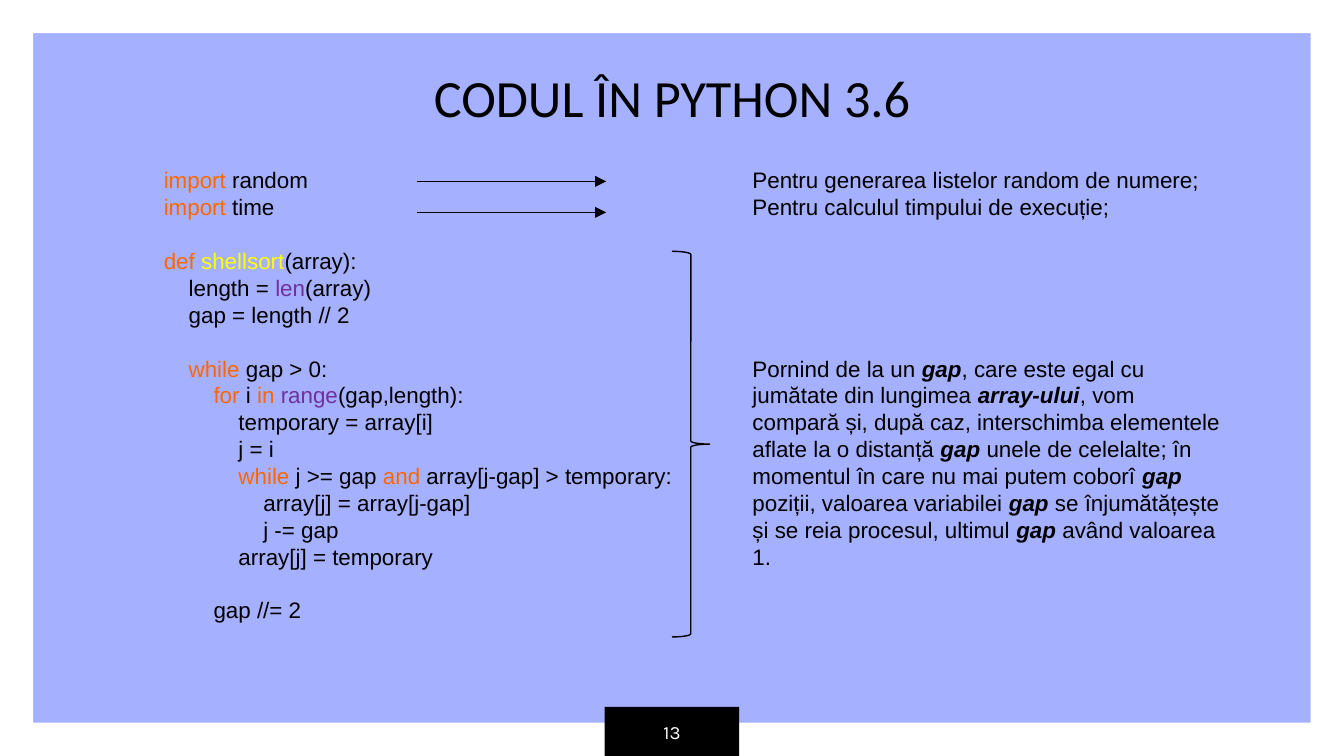
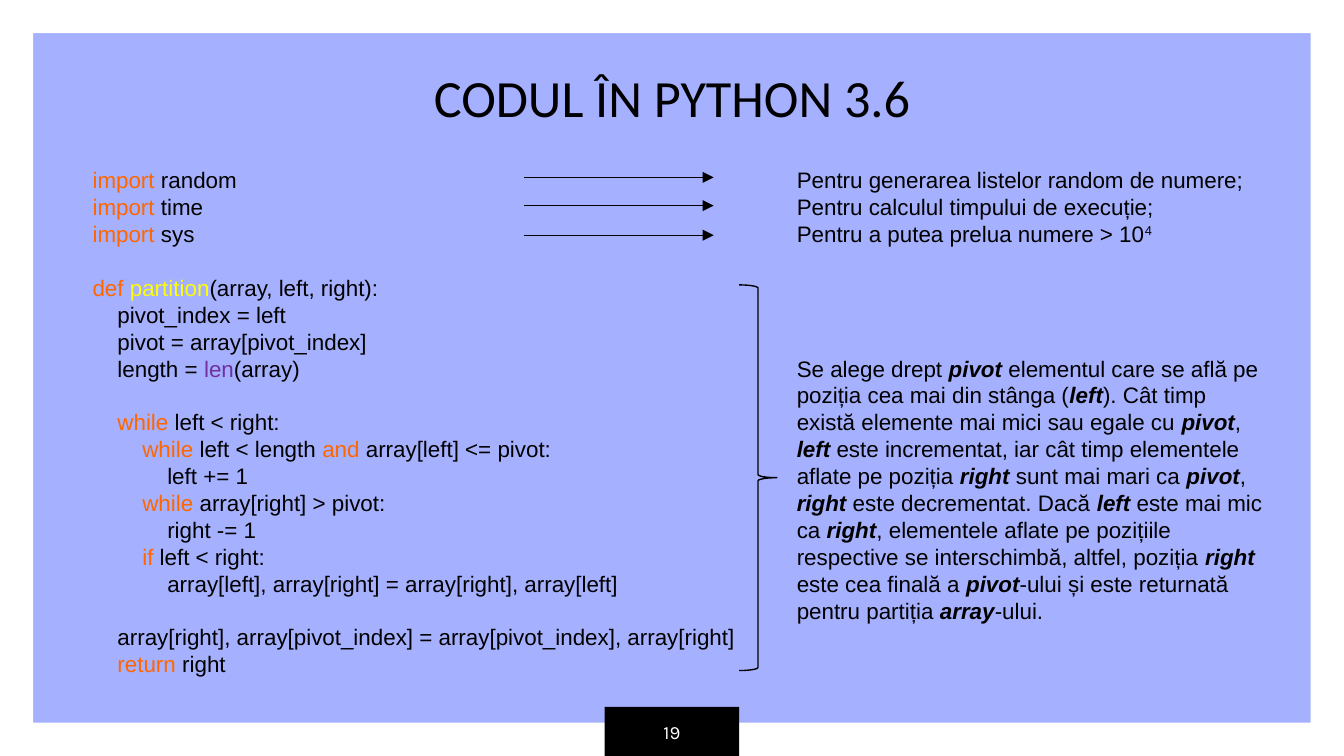
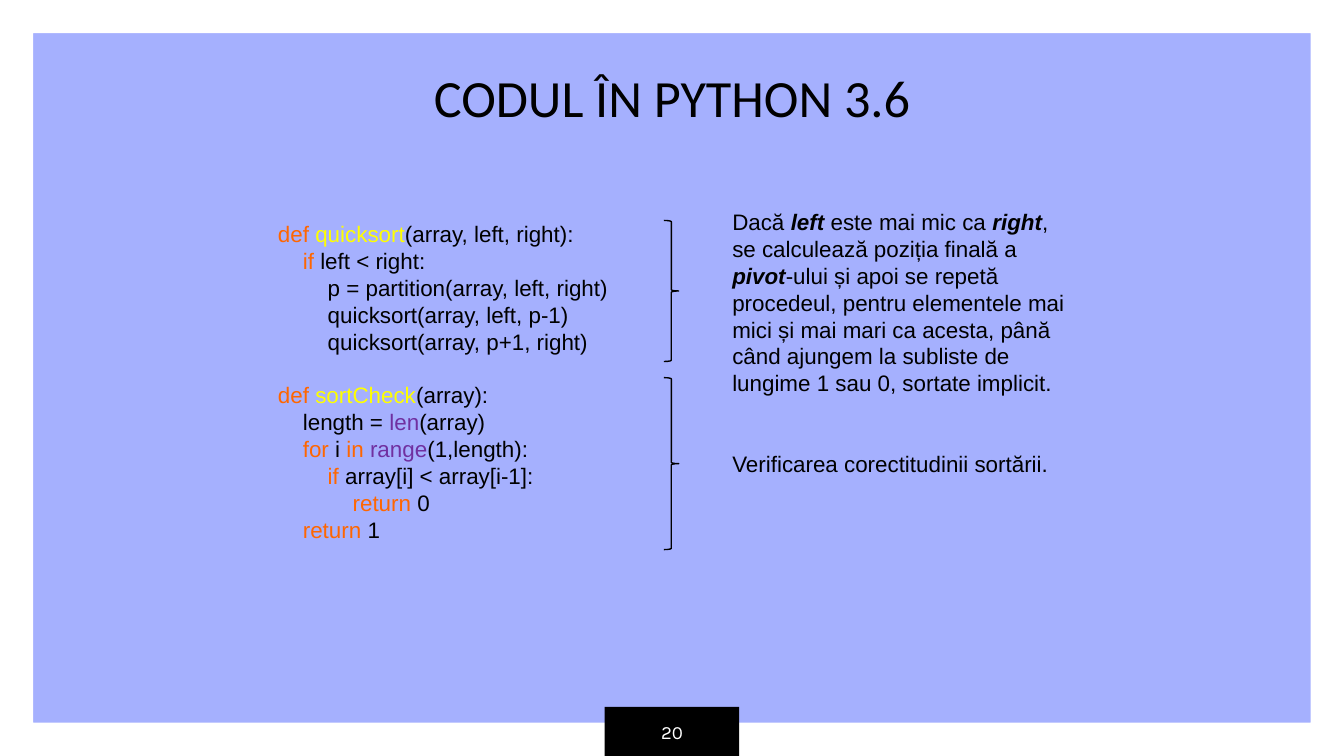
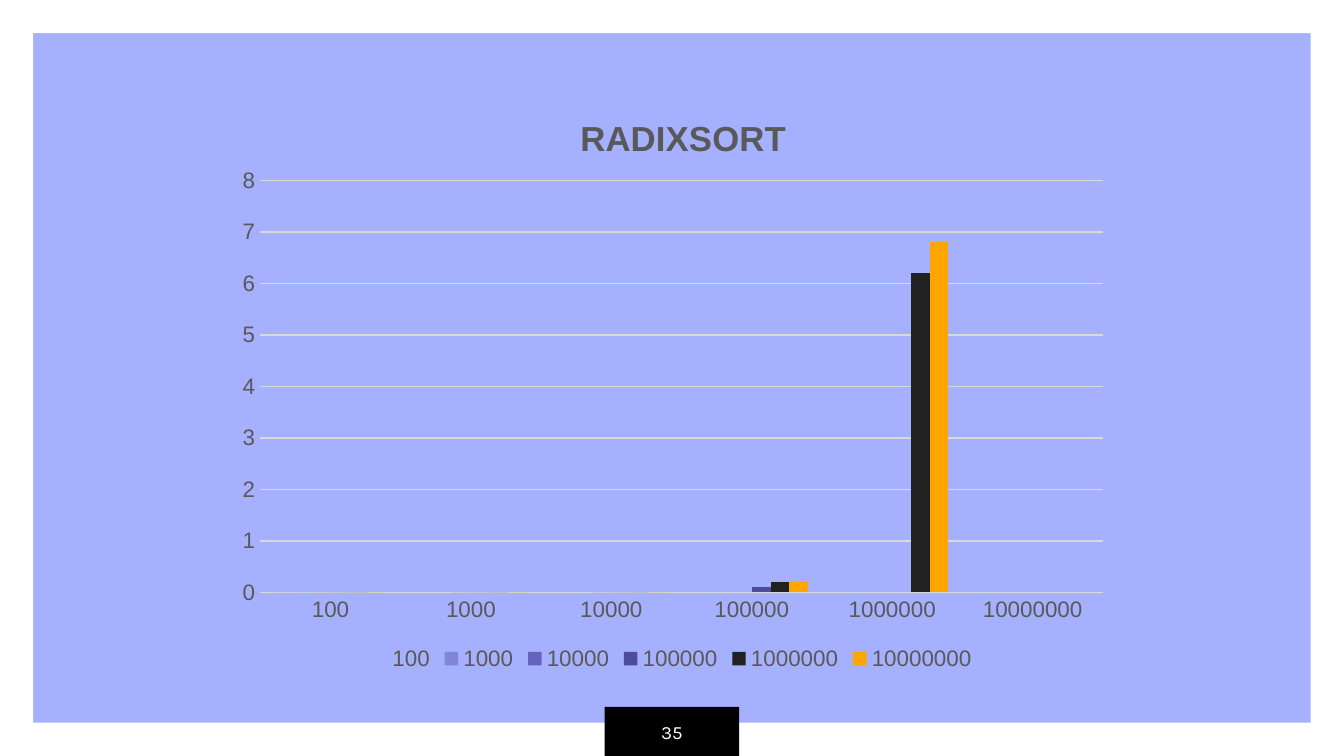
from itertools import groupby

from pptx import Presentation
from pptx.chart.data import CategoryChartData
from pptx.dml.color import RGBColor
from pptx.enum.chart import XL_CHART_TYPE as ChartType
from pptx.enum.chart import XL_LEGEND_POSITION as LegendPosition
from pptx.enum.chart import XL_TICK_MARK as TickMark
from pptx.enum.shapes import MSO_CONNECTOR as Connector
from pptx.enum.shapes import MSO_SHAPE as Shape
from pptx.enum.text import MSO_ANCHOR as Anchor
from pptx.enum.text import PP_ALIGN as Align
from pptx.oxml.ns import qn
from pptx.util import Inches, Pt
from lxml.etree import SubElement

LAVENDER = RGBColor(0xA5, 0xB0, 0xFE)
WHITE = RGBColor(0xFF, 0xFF, 0xFF)
BLACK = RGBColor(0, 0, 0)
ORANGE = RGBColor(0xFF, 0x66, 0x00)
YELLOW = RGBColor(0xFF, 0xFF, 0x00)
PURPLE = RGBColor(0x70, 0x30, 0xA0)
GRAY = RGBColor(0x59, 0x59, 0x59)
GRID = RGBColor(0xD9, 0xD9, 0xD9)

KEYWORDS = {"import", "def", "while", "for", "in", "and", "if", "return"}
BUILTINS = {"len", "range"}
TEXT_SIZE = 12
LINE_HEIGHT = 14.4
CODE_INDENT = Pt(13.34)  # four spaces of code
ARROW_LENGTH = 1.41
TITLE = "CODUL ÎN PYTHON 3.6"

# In notes, *word* is emphasised and ^ starts an exponent; "" leaves a line free.
CODE_SLIDES = [
    {
        "number": 13,
        "code_box": (1.12, 1.19, 4.11, 3.53),
        "code": """import random
import time

def shellsort(array):
    length = len(array)
    gap = length // 2

    while gap > 0:
        for i in range(gap,length):
            temporary = array[i]
            j = i
            while j >= gap and array[j-gap] > temporary:
                array[j] = array[j-gap]
                j -= gap
            array[j] = temporary

        gap //= 2""",
        "notes_box": (5.5, 1.19, 3.69, 4.54),
        "notes": [
            "Pentru generarea listelor random de numere;",
            "Pentru calculul timpului de execuție;",
            "", "", "", "", "",
            "Pornind de la un *gap*, care este egal cu jumătate din lungimea "
            "*array-ului*, vom compară și, după caz, interschimba elementele "
            "aflate la o distanță *gap* unele de celelalte; în momentul în care "
            "nu mai putem coborî *gap* poziții, valoarea variabilei *gap* se "
            "înjumătățește și se reia procesul, ultimul *gap* având valoarea 1.",
        ],
        "braces": [(5, 1.87, 0.28, 2.87)],
        "arrows": [(3.1, 1.35), (3.1, 1.58)],
    },
    {
        "number": 19,
        "code_box": (0.59, 1.19, 5.01, 3.94),
        "code": """import random
import time
import sys

def partition(array, left, right):
    pivot_index = left
    pivot = array[pivot_index]
    length = len(array)

    while left < right:
        while left < length and array[left] <= pivot:
            left += 1
        while array[right] > pivot:
            right -= 1
        if left < right:
            array[left], array[right] = array[right], array[left]

    array[right], array[pivot_index] = array[pivot_index], array[right]
    return right""",
        "notes_box": (5.83, 1.19, 3.69, 4.75),
        "notes": [
            "Pentru generarea listelor random de numere;",
            "Pentru calculul timpului de execuție;",
            "Pentru a putea prelua numere > 10^4",
            "", "", "", "",
            "Se alege drept *pivot* elementul care se află pe poziția cea mai din "
            "stânga (*left*). Cât timp există elemente mai mici sau egale cu "
            "*pivot*, *left* este incrementat, iar cât timp elementele aflate pe "
            "poziția *right* sunt mai mari ca *pivot*, *right* este decrementat. "
            "Dacă *left* este mai mic ca *right*, elementele aflate pe pozițiile "
            "respective se interschimbă, altfel, poziția *right* este cea finală a "
            "*pivot*-ului și este returnată pentru partiția *array*-ului.",
        ],
        "braces": [(5.5, 2.12, 0.28, 2.87)],
        "arrows": [(3.9, 1.32), (3.9, 1.53), (3.9, 1.75)],
    },
    {
        "number": 20,
        "code_box": (1.97, 1.59, 3.7, 2.52),
        "code": """def quicksort(array, left, right):
    if left < right:
        p = partition(array, left, right)
        quicksort(array, left, p-1)
        quicksort(array, p+1, right)

def sortCheck(array):
    length = len(array)
    for i in range(1,length):
        if array[i] < array[i-1]:
            return 0
    return 1""",
        "notes_box": (5.35, 1.5, 2.68, 2.12),
        "notes": [
            "Dacă *left* este mai mic ca *right*, se calculează poziția finală a "
            "*pivot*-ului și apoi se repetă procedeul, pentru elementele mai mici "
            "și mai mari ca acesta, până când ajungem la subliste de lungime 1 sau "
            "0, sortate implicit.",
            "", "",
            "Verificarea corectitudinii sortării.",
        ],
        "braces": [(4.94, 1.64, 0.11, 1.05), (4.94, 2.81, 0.11, 1.28)],
        "arrows": [],
    },
]

CHART_NUMBER = 35
CHART_BOX = (1.67, 0.59, 6.67, 4.44)
CHART_TITLE = "RADIXSORT"
SIZES = ["100", "1000", "10000", "100000", "1000000", "10000000"]
SERIES = [
    ([0], LAVENDER),
    ([0], RGBColor(0x81, 0x84, 0xD9)),
    ([0, 0, 0], RGBColor(0x64, 0x63, 0xBD)),
    ([0, 0, 0, 0.1], RGBColor(0x4F, 0x4A, 0x9E)),
    ([0, 0, 0, 0.2, 6.2], RGBColor(0x21, 0x21, 0x21)),
    ([0, 0, 0, 0.2, 6.8], RGBColor(0xFF, 0xA5, 0x00)),
]


def inches(box):
    return [Inches(length) for length in box]


def set_font(font, size, color, name="Arial"):
    font.size = Pt(size)
    font.name = name
    font.color.rgb = color


def add_span(para, text, color=BLACK, size=TEXT_SIZE, name="Arial"):
    span = para.add_run()
    span.text = text
    set_font(span.font, size, color, name)
    return span


def add_preset(page, preset, box, fill=None):
    shape = page.shapes.add_shape(preset, *inches(box))
    shape.shadow.inherit = False
    if fill is None:
        shape.fill.background()
        shape.line.color.rgb = BLACK
        shape.line.width = Pt(0.75)
    else:
        shape.fill.solid()
        shape.fill.fore_color.rgb = fill
        shape.line.fill.background()
    return shape


def write_centered(shape, text, color, size, name):
    frame = shape.text_frame
    frame.word_wrap = True
    frame.vertical_anchor = Anchor.MIDDLE
    para = frame.paragraphs[0]
    para.alignment = Align.CENTER
    add_span(para, text, color, size, name)


def add_page(deck, number):
    """Add a page with the white frame and the numbered black tab."""
    page = deck.slides.add_slide(deck.slide_layouts[6])
    border = add_preset(page, Shape.FRAME, (0, 0, 10, 5.62), WHITE)
    border.height = deck.slide_height
    border.adjustments[0] = 0.044
    tab = add_preset(page, Shape.RECTANGLE, (4.5, 5.26, 1, 0.37), BLACK)
    write_centered(tab, str(number), WHITE, 10, "Karla")
    return page


def write_code(para, line):
    code = line.lstrip()
    level = (len(line) - len(code)) // 4
    para._p.get_or_add_pPr().set("marL", str(level * CODE_INDENT))
    pieces, previous = [], None
    for word in code.split(" "):
        if previous is not None:
            pieces.append((" ", BLACK))
        head, paren, rest = word.partition("(")
        if word in KEYWORDS:
            color = ORANGE
        elif previous == "def":
            color = YELLOW
        elif paren and head in BUILTINS:
            color = PURPLE
        else:
            color = BLACK
        pieces += [(head, color), (paren + rest, BLACK)]
        previous = word
    pieces = [piece for piece in pieces if piece[0]]
    for color, group in groupby(pieces, key=lambda piece: piece[1]):
        add_span(para, "".join(text for text, _ in group), color)


def write_note(para, line):
    for position, chunk in enumerate(line.split("*")):
        text, _, exponent = chunk.partition("^")
        if text:
            span = add_span(para, text)
            if position % 2:
                span.font.bold = span.font.italic = True
        if exponent:
            span = add_span(para, exponent)
            span.font._element.set("baseline", "30000")


def add_lines(page, box, lines, write):
    """Write one paragraph per line, turning empty lines into space before."""
    frame = page.shapes.add_textbox(*inches(box)).text_frame
    frame.word_wrap = True
    para, free_lines = None, 0
    for line in lines:
        if not line:
            free_lines += 1
            continue
        para = frame.add_paragraph() if para else frame.paragraphs[0]
        para.line_spacing = Pt(LINE_HEIGHT)
        para.space_before = Pt(free_lines * LINE_HEIGHT)
        write(para, line)
        free_lines = 0


def add_arrow(page, left, top):
    arrow = page.shapes.add_connector(
        Connector.STRAIGHT, *inches((left, top, left + ARROW_LENGTH, top)))
    arrow.line.color.rgb = BLACK
    arrow.line.width = Pt(0.75)
    properties = arrow.element.spPr
    SubElement(properties.find(qn("a:ln")), qn("a:tailEnd"), type="triangle")
    SubElement(properties, qn("a:effectLst"))


def add_code_slide(deck, content):
    page = add_page(deck, content["number"])
    title = page.shapes.add_textbox(*inches((0.26, 0.25, 9.48, 0.94)))
    write_centered(title, TITLE, BLACK, 28, "Calibri")
    add_lines(page, content["code_box"], content["code"].split("\n"), write_code)
    add_lines(page, content["notes_box"], content["notes"], write_note)
    for box in content["braces"]:
        add_preset(page, Shape.RIGHT_BRACE, box)
    for left, top in content["arrows"]:
        add_arrow(page, left, top)


def place_in_chart(element, index, **fractions):
    """Fix a chart part at fractions of the chart's width and height."""
    for old in element.findall(qn("c:layout")):
        element.remove(old)
    layout = SubElement(element, qn("c:layout"))
    element.insert(index, layout)
    manual = SubElement(layout, qn("c:manualLayout"))
    if "w" in fractions:
        SubElement(manual, qn("c:layoutTarget"), val="inner")
    for side in "xy":
        SubElement(manual, qn(f"c:{side}Mode"), val="edge")
    for side, value in fractions.items():
        SubElement(manual, qn(f"c:{side}"), val=str(value))


def add_chart_slide(deck):
    page = add_page(deck, CHART_NUMBER)
    data = CategoryChartData()
    data.categories = SIZES
    for name, (values, _) in zip(SIZES, SERIES):
        data.add_series(name, values + [None] * (len(SIZES) - len(values)))
    chart = page.shapes.add_chart(
        ChartType.COLUMN_CLUSTERED, *inches(CHART_BOX), data).chart
    set_font(chart.font, 10, BLACK)

    chart.has_title = True
    add_span(chart.chart_title.text_frame.paragraphs[0], CHART_TITLE, GRAY, 18.6)
    place_in_chart(chart.chart_title.element, 1, x=0.39, y=0.05)
    place_in_chart(chart.element.find(".//" + qn("c:plotArea")), 0,
                   x=0.04, y=0.17, w=0.94, h=0.69)

    plot = chart.plots[0]
    plot.gap_width = 150
    plot.overlap = 0
    plot.vary_by_categories = False
    for series, (_, color) in zip(plot.series, SERIES):
        series.format.fill.solid()
        series.format.fill.fore_color.rgb = color

    for axis in (chart.category_axis, chart.value_axis):
        axis.major_tick_mark = axis.minor_tick_mark = TickMark.NONE
        axis.format.line.fill.background()
        set_font(axis.tick_labels.font, 12, GRAY)
    chart.value_axis.minimum_scale = 0
    chart.value_axis.maximum_scale = 8
    chart.value_axis.major_unit = 1
    grid_line = chart.value_axis.major_gridlines.format.line
    grid_line.color.rgb = GRID
    grid_line.width = Pt(0.75)

    chart.has_legend = True
    chart.legend.position = LegendPosition.BOTTOM
    chart.legend.include_in_layout = False
    set_font(chart.legend.font, 12, GRAY)


def main():
    deck = Presentation()
    deck.slide_width = Inches(10)
    deck.slide_height = deck.slide_width * 9 // 16
    background = deck.slide_master.background.fill
    background.solid()
    background.fore_color.rgb = LAVENDER
    for content in CODE_SLIDES:
        add_code_slide(deck, content)
    add_chart_slide(deck)
    deck.save("out.pptx")


if __name__ == "__main__":
    main()
